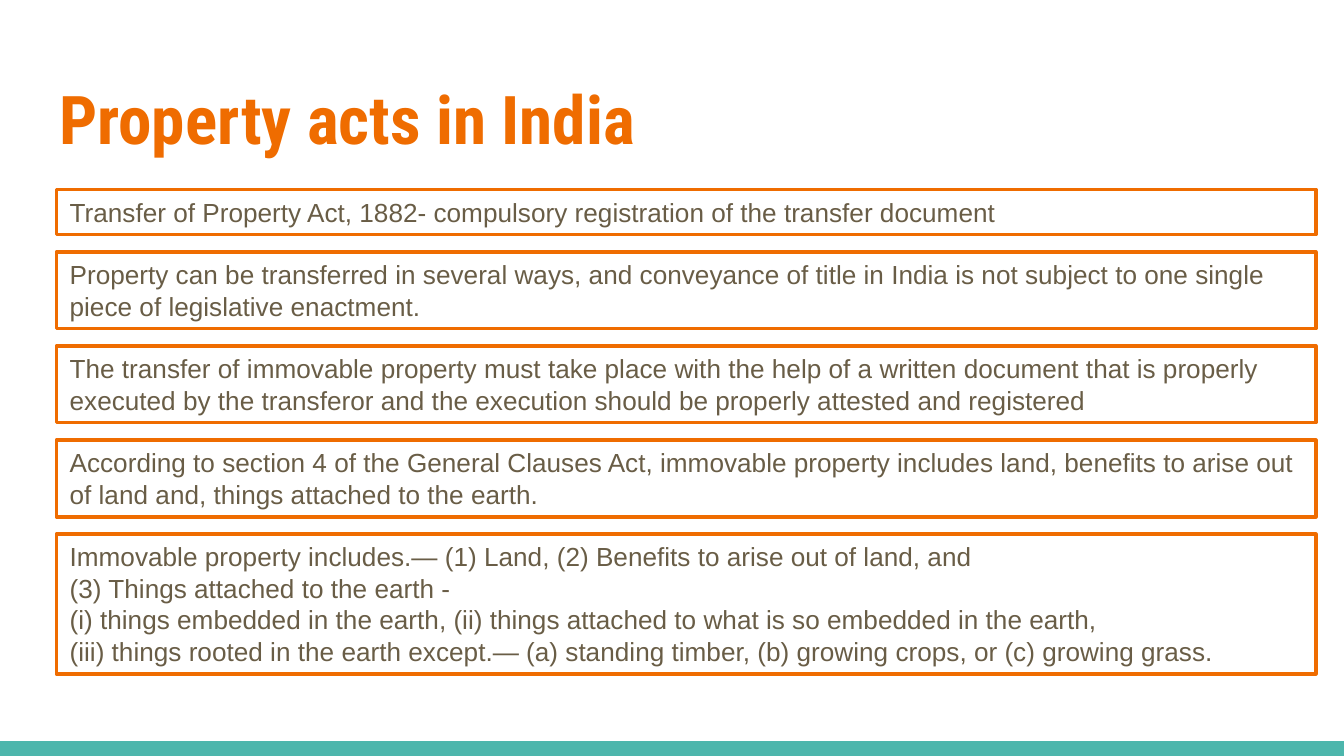
from pptx import Presentation
from pptx.dml.color import RGBColor
from pptx.enum.shapes import MSO_SHAPE as Shape
from pptx.enum.text import MSO_ANCHOR as Anchor, MSO_AUTO_SIZE as AutoSize, PP_ALIGN as Align
from pptx.util import Inches, Pt

ORANGE = RGBColor(0xEF, 0x6C, 0x00)
TEAL = RGBColor(0x4D, 0xB6, 0xAC)
BROWN = RGBColor(0x69, 0x5D, 0x46)
WHITE = RGBColor(0xFF, 0xFF, 0xFF)

# Each act: its text and the number of lines it fills
ACTS = [
    ("Transfer of Property Act, 1882- compulsory registration of the transfer document", 1),
    ("Property can be transferred in several ways, and conveyance of title in India is not "
     "subject to one single piece of legislative enactment.", 2),
    ("The transfer of immovable property must take place with the help of a written document "
     "that is properly executed by the transferor and the execution should be properly "
     "attested and registered", 2),
    ("According to section 4 of the General Clauses Act, immovable property includes land, "
     "benefits to arise out of land and, things attached to the earth.", 2),
    ("Immovable property includes.— (1) Land, (2) Benefits to arise out of land, and\n"
     "(3) Things attached to the earth -\n"
     "(i) things embedded in the earth, (ii) things attached to what is so embedded in the earth,\n"
     "(iii) things rooted in the earth except.— (a) standing timber, (b) growing crops, "
     "or (c) growing grass.", 4),
]

deck = Presentation()
deck.slide_width, deck.slide_height = Inches(10), Inches(5.625)
slide = deck.slides.add_slide(deck.slide_layouts.get_by_name("Title Only"))


def add_box(left, top, width, height, fill):
    box = slide.shapes.add_shape(Shape.RECTANGLE, left, top, width, height)
    box.shadow.inherit = False
    box.fill.solid()
    box.fill.fore_color.rgb = fill
    return box


# Footer band
band_height = Inches(0.11)
band = add_box(0, deck.slide_height - band_height, deck.slide_width, band_height, TEAL)
band.line.fill.background()

# Title
title = slide.shapes.title
title.left, title.top = Inches(0.34), Inches(0.49)
title.width, title.height = Inches(9.32), Inches(0.77)
heading = title.text_frame
heading.text = "Property acts in India"
heading.vertical_anchor = Anchor.MIDDLE
heading.auto_size = AutoSize.NONE
heading.margin_left = heading.margin_right = Inches(0.1)
heading.margin_top = heading.margin_bottom = Inches(0.1)
heading.paragraphs[0].alignment = Align.LEFT
heading_font = heading.paragraphs[0].runs[0].font
heading_font.name, heading_font.size, heading_font.bold = "Roboto Condensed", Pt(36), True
heading_font.color.rgb = ORANGE

# Stack of acts: height follows the line count, gaps are equal
line_height, padding, gap = Inches(0.235), Inches(0.1), Inches(0.13)
top = Inches(1.41)
for wording, line_count in ACTS:
    height = padding + line_count * line_height
    act = add_box(Inches(0.42), top, Inches(9.37), height, WHITE)
    act.line.color.rgb = ORANGE
    act.line.width = Pt(2)
    body = act.text_frame
    body.text = wording
    body.word_wrap = True
    body.auto_size = AutoSize.SHAPE_TO_FIT_TEXT
    body.vertical_anchor = Anchor.TOP
    for paragraph in body.paragraphs:
        paragraph.alignment = Align.LEFT
        font = paragraph.runs[0].font
        font.name, font.size = "Arial", Pt(14)
        font.color.rgb = BROWN
    top += height + gap

deck.save("out.pptx")
